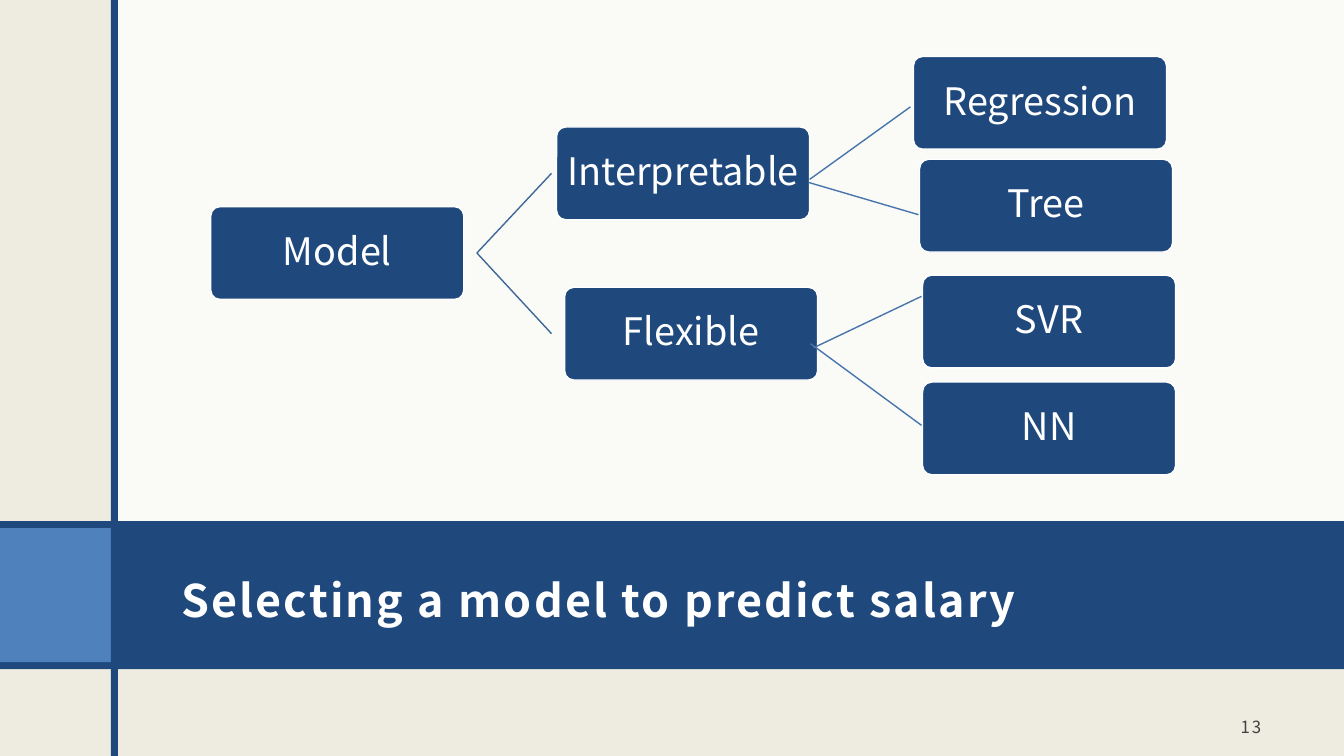
from lxml.etree import SubElement
from pptx import Presentation
from pptx.dml.color import RGBColor
from pptx.enum.shapes import MSO_CONNECTOR, MSO_SHAPE
from pptx.enum.text import MSO_ANCHOR, PP_ALIGN
from pptx.oxml.ns import qn
from pptx.util import Inches, Pt

FONT = "Noto Sans CJK JP"
CREAM = RGBColor(0xEE, 0xEC, 0xE1)
WHITE = RGBColor(0xFF, 0xFF, 0xFF)
NAVY = RGBColor(0x1F, 0x49, 0x7D)
BLUE = RGBColor(0x4F, 0x81, 0xBD)
GRAY = RGBColor(0x40, 0x40, 0x40)
STEEL = RGBColor(0x3F, 0x67, 0x97)
SKY = RGBColor(0x48, 0x75, 0xAC)

NODES = [
    ("Model", 2.09, 2.05),
    ("Interpretable", 5.52, 1.26),
    ("Flexible", 5.6, 2.85),
    ("Regression", 9.06, 0.56),
    ("Tree", 9.12, 1.58),
    ("SVR", 9.15, 2.73),
    ("NN", 9.15, 3.79),
]
LINKS = [
    (4.73, 2.51, 5.47, 1.72, STEEL),
    (4.73, 2.51, 5.47, 3.31, STEEL),
    (8.03, 1.78, 9.03, 1.06, SKY),
    (8.02, 1.81, 9.11, 2.13, SKY),
    (8.07, 3.45, 9.14, 2.94, SKY),
    (8.04, 3.41, 9.14, 4.22, SKY),
]


def add_rect(slide, x, y, w, h, color, alpha=None):
    rect = slide.shapes.add_shape(
        MSO_SHAPE.RECTANGLE, Inches(x), Inches(y), Inches(w), Inches(h))
    rect.shadow.inherit = False
    rect.fill.solid()
    rect.fill.fore_color.rgb = color
    rect.line.fill.background()
    if alpha:
        tone = rect._element.spPr.find(".//" + qn("a:srgbClr"))
        SubElement(tone, qn("a:alpha"), val=str(alpha * 1000))


def set_text(shape, text, size, color, align, anchor, pads):
    frame = shape.text_frame
    frame.word_wrap = True
    frame.vertical_anchor = anchor
    (frame.margin_left, frame.margin_top,
     frame.margin_right, frame.margin_bottom) = [Inches(pad) for pad in pads]
    para = frame.paragraphs[0]
    para.text = text
    para.alignment = align
    para.font.name = FONT
    para.font.size = Pt(size)
    para.font.color.rgb = color
    return para


def add_label(slide, box, text, size, color, align, anchor, pads):
    label = slide.shapes.add_textbox(*[Inches(side) for side in box])
    para = set_text(label, text, size, color, align, anchor, pads)
    para.runs[0]._r.get_or_add_rPr().set("spc", "150")
    return para


def add_node(slide, text, x, y):
    node = slide.shapes.add_shape(
        MSO_SHAPE.ROUNDED_RECTANGLE,
        Inches(x), Inches(y), Inches(2.51), Inches(0.92))
    node.adjustments[0] = 0.1
    node.shadow.inherit = False
    node.fill.solid()
    node.fill.fore_color.rgb = NAVY
    node.line.color.rgb = WHITE
    node.line.width = Pt(1)
    para = set_text(node, text, 27, WHITE, PP_ALIGN.CENTER,
                    MSO_ANCHOR.MIDDLE, [0.05] * 4)
    para.line_spacing = 0.9


def add_link(slide, x1, y1, x2, y2, color):
    link = slide.shapes.add_connector(
        MSO_CONNECTOR.STRAIGHT,
        Inches(x1), Inches(y1), Inches(x2), Inches(y2))
    link.line.color.rgb = color
    link.line.width = Pt(1)
    SubElement(link._element.spPr, qn("a:effectLst"))


def main():
    deck = Presentation()
    deck.slide_width = Inches(13.33)
    deck.slide_height = Inches(7.5)
    slide = deck.slides.add_slide(deck.slide_layouts[6])
    slide.background.fill.solid()
    slide.background.fill.fore_color.rgb = CREAM

    add_rect(slide, 1.14, 0, 12.19, 5.17, WHITE, 75)
    add_rect(slide, 0, 5.17, 13.33, 1.47, NAVY)
    add_rect(slide, 0, 5.24, 1.1, 1.33, BLUE)
    add_rect(slide, 1.1, 0, 0.07, 7.5, NAVY)

    title = add_label(
        slide, (1.68, 5.33, 10.95, 1.13),
        "Selecting a model to predict salary", 32, WHITE,
        PP_ALIGN.LEFT, MSO_ANCHOR.MIDDLE, (0.12, 0.2, 0.12, 0.1))
    title.font.bold = True
    add_label(slide, (11.56, 6.9, 1.07, 0.5), "13", 12, GRAY,
              PP_ALIGN.RIGHT, MSO_ANCHOR.BOTTOM, (0.12, 0.12, 0.12, 0.1))

    for node in NODES:
        add_node(slide, *node)
    for link in LINKS:
        add_link(slide, *link)
    deck.save("out.pptx")


if __name__ == "__main__":
    main()
